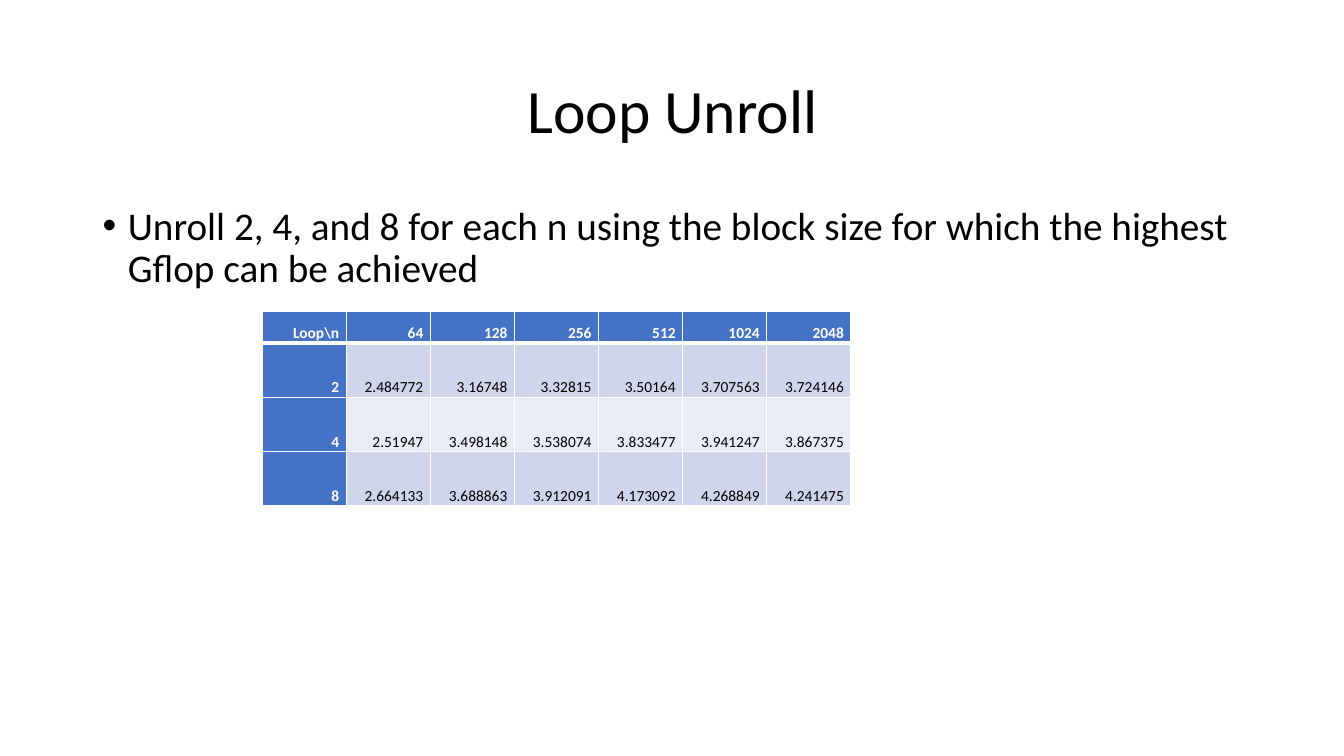
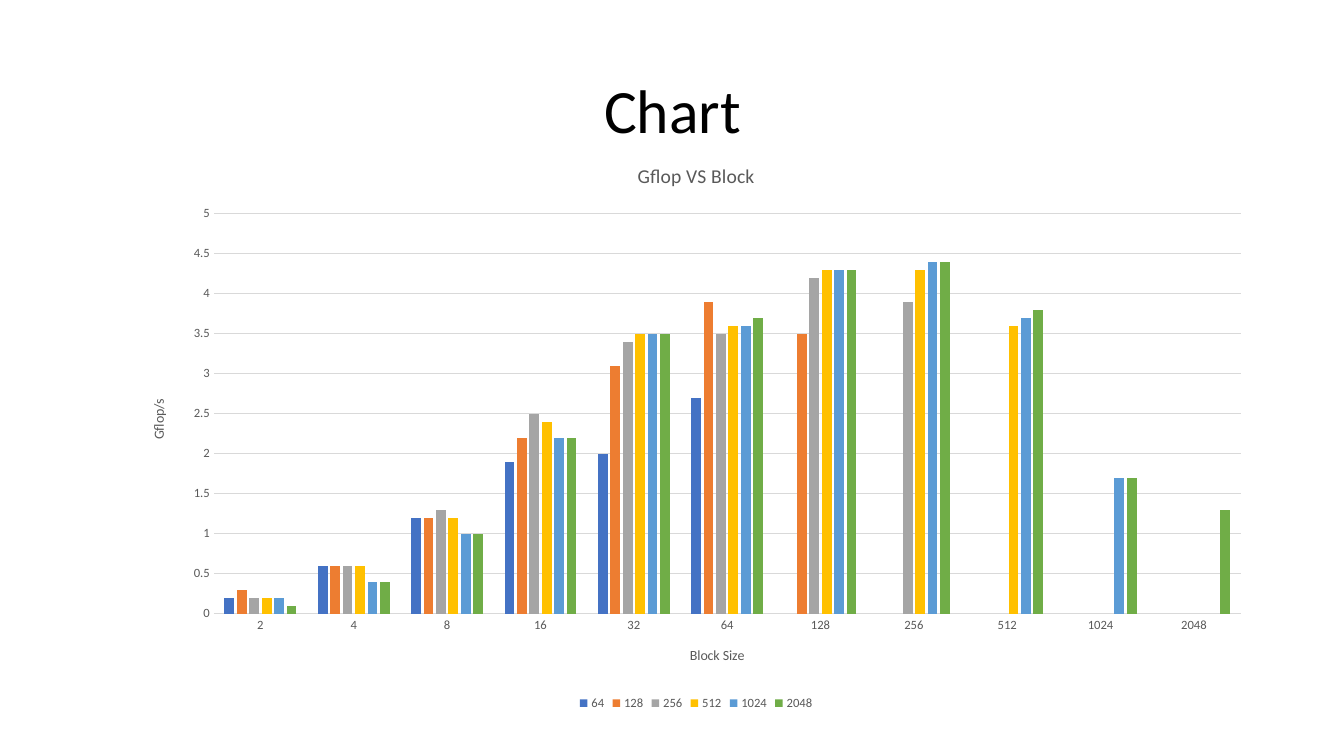
from pptx import Presentation
from pptx.util import Inches, Pt
from pptx.dml.color import RGBColor
from pptx.chart.data import CategoryChartData as ChartData
from pptx.enum.chart import XL_CHART_TYPE as Kind, XL_LEGEND_POSITION as Side
from pptx.enum.chart import XL_TICK_MARK as Tick
from pptx.enum.text import PP_ALIGN as Align, MSO_ANCHOR as Anchor
from lxml.etree import SubElement
from pptx.oxml.ns import qn

BLACK, WHITE, GRAY, RULE = "000000", "FFFFFF", "595959", "D9D9D9"
BLUE, BANDS = "4472C4", ["CFD5EA", "E9EBF5"]
HUES = [BLUE, "ED7D31", "A5A5A5", "FFC000", "5B9BD5", "70AD47"]
SIZES = ["64", "128", "256", "512", "1024", "2048"]


def tint(code):
    """Turn a hex string into a colour."""
    return RGBColor.from_string(code)


def style(font, size, color=BLACK, bold=False):
    """Set the face, size, weight and colour of a font."""
    form = {"name": "Calibri", "size": Pt(size), "bold": bold}
    for key, val in form.items():
        setattr(font, key, val)
    font.color.rgb = tint(color)


deck = Presentation()
deck.slide_width, deck.slide_height = Inches(13.33), Inches(7.5)

# Slides with their titles and body text
texts = [
    [("Loop Unroll", 44, 0.4, 1.45),
     ("Unroll 2, 4, and 8 for each n using the block size for which "
      "the highest Gflop can be achieved", 28, 2, 4.76)],
    [("Chart", 44, 0.4, 1.45)],
]
for items in texts:
    slide = deck.slides.add_slide(deck.slide_layouts[6])
    for text, size, top, high in items:
        box = slide.shapes.add_textbox(Inches(0.92), Inches(top),
                                       Inches(11.5), Inches(high))
        frame = box.text_frame
        frame.word_wrap = True
        para = frame.paragraphs[0]
        para.line_spacing = 0.9
        run = para.add_run()
        run.text = text
        style(run.font, size)
        if size == 44:
            frame.vertical_anchor = Anchor.MIDDLE
            para.alignment = Align.CENTER
        else:
            para.space_before = Pt(10)
            props = para._p.get_or_add_pPr()
            props.set("marL", str(Inches(0.25)))
            props.set("indent", str(Inches(-0.25)))
            SubElement(props, qn("a:buFont"), typeface="Arial")
            SubElement(props, qn("a:buChar"), char="\u2022")
first, last = deck.slides

# Table of loop unrolling results
rows = [
    ["Loop\\n"] + SIZES,
    ["2", "2.484772", "3.16748", "3.32815", "3.50164", "3.707563", "3.724146"],
    ["4", "2.51947", "3.498148", "3.538074", "3.833477", "3.941247", "3.867375"],
    ["8", "2.664133", "3.688863", "3.912091", "4.173092", "4.268849", "4.241475"],
]
table = first.shapes.add_table(len(rows), len(rows[0]), Inches(2.6), Inches(3.09),
                               Inches(5.84), Inches(1.94)).table
for col in table.columns:
    col.width = Inches(5.84 / 7)
margins = {"margin_left": 0.07, "margin_right": 0.07,
           "margin_top": 0, "margin_bottom": 0}
for r, row in enumerate(rows):
    table.rows[r].height = Inches(0.54 if r else 0.31)
    for c, text in enumerate(row):
        cell = table.cell(r, c)
        head = r == 0 or c == 0
        for key, val in margins.items():
            setattr(cell, key, Inches(val))
        cell.vertical_anchor = Anchor.BOTTOM
        props = cell._tc.get_or_add_tcPr()
        for edge in "LRTB":
            thick = (r, edge) in [(0, "B"), (1, "T")]
            line = SubElement(props, qn("a:ln" + edge), w=str(Pt(3 if thick else 1)))
            fill = SubElement(line, qn("a:solidFill"))
            SubElement(fill, qn("a:srgbClr"), val=WHITE)
        cell.fill.solid()
        cell.fill.fore_color.rgb = tint(BLUE if head else BANDS[(r - 1) % 2])
        para = cell.text_frame.paragraphs[0]
        para.alignment = Align.RIGHT
        run = para.add_run()
        run.text = text
        style(run.font, 11, WHITE if head else BLACK, head)

# Chart of speed by block size
speeds = [
    [0.2, 0.6, 1.2, 1.9, 2, 2.7],
    [0.3, 0.6, 1.2, 2.2, 3.1, 3.9, 3.5],
    [0.2, 0.6, 1.3, 2.5, 3.4, 3.5, 4.2, 3.9],
    [0.2, 0.6, 1.2, 2.4, 3.5, 3.6, 4.3, 4.3, 3.6],
    [0.2, 0.4, 1, 2.2, 3.5, 3.6, 4.3, 4.4, 3.7, 1.7],
    [0.1, 0.4, 1, 2.2, 3.5, 3.7, 4.3, 4.4, 3.8, 1.7, 1.3],
]
data = ChartData()
data.categories = [str(2 ** n) for n in range(1, 12)]
for name, vals in zip(SIZES, speeds):
    data.add_series(name, vals + [None] * (11 - len(vals)))
chart = last.shapes.add_chart(Kind.COLUMN_CLUSTERED, Inches(1.28), Inches(1.41),
                              Inches(11.25), Inches(5.68), data).chart
style(chart.font, 10)
plot = chart.plots[0]
for key, val in {"gap_width": 219, "overlap": -27, "vary_by_categories": False}.items():
    setattr(plot, key, val)
for bars, hue in zip(plot.series, HUES):
    bars.format.fill.solid()
    bars.format.fill.fore_color.rgb = tint(hue)

across, up = chart.category_axis, chart.value_axis
for part, text, size in [(chart, "Gflop VS Block", 14), (across, "Block Size", 10),
                         (up, "Gflop/s", 10)]:
    part.has_title = True
    title = part.chart_title if part is chart else part.axis_title
    run = title.text_frame.paragraphs[0].add_run()
    run.text = text
    style(run.font, size, GRAY)
for axis in (across, up):
    axis.major_tick_mark = axis.minor_tick_mark = Tick.NONE
    style(axis.tick_labels.font, 9, GRAY)
scale = {"minimum_scale": 0, "maximum_scale": 5, "major_unit": 0.5,
         "has_major_gridlines": True}
for key, val in scale.items():
    setattr(up, key, val)
up.format.line.fill.background()
for line in (across.format.line, up.major_gridlines.format.line):
    line.color.rgb = tint(RULE)
    line.width = Pt(0.75)

chart.has_legend = True
chart.legend.position = Side.BOTTOM
chart.legend.include_in_layout = False
style(chart.legend.font, 9, GRAY)

deck.save("out.pptx")
